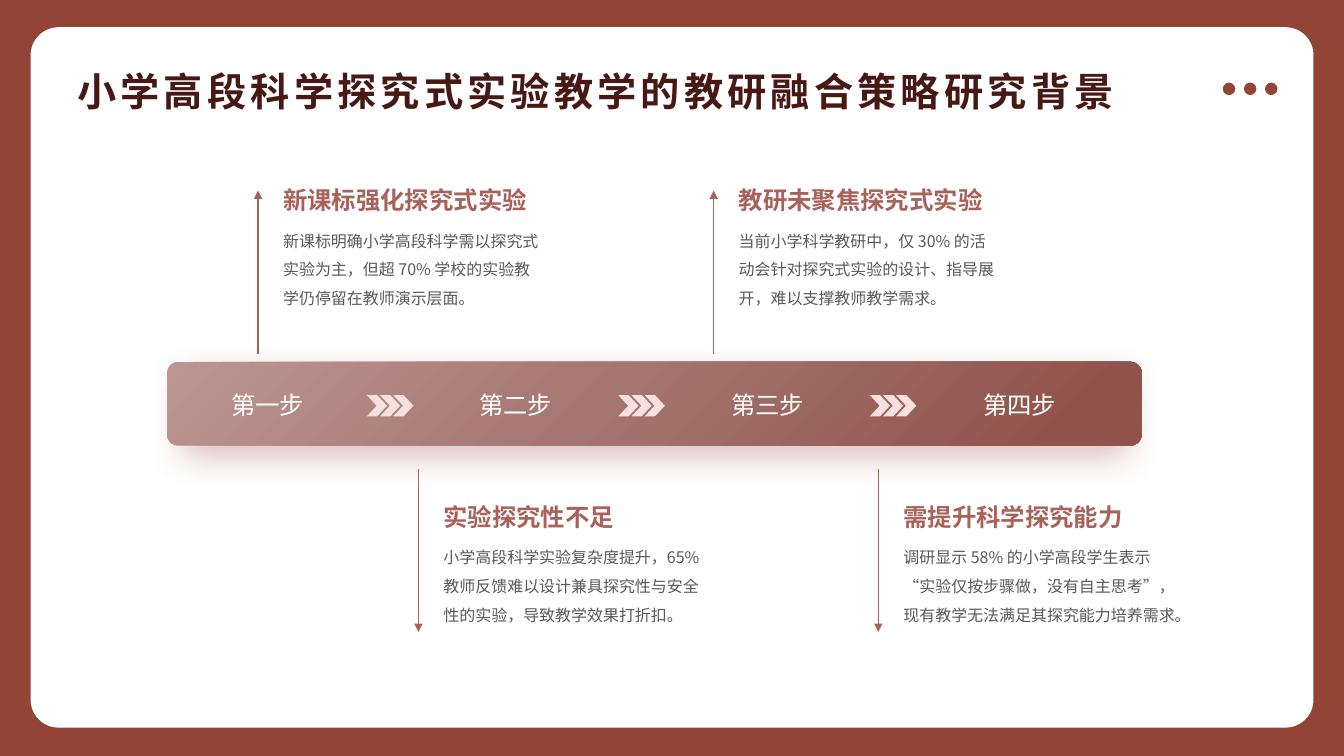
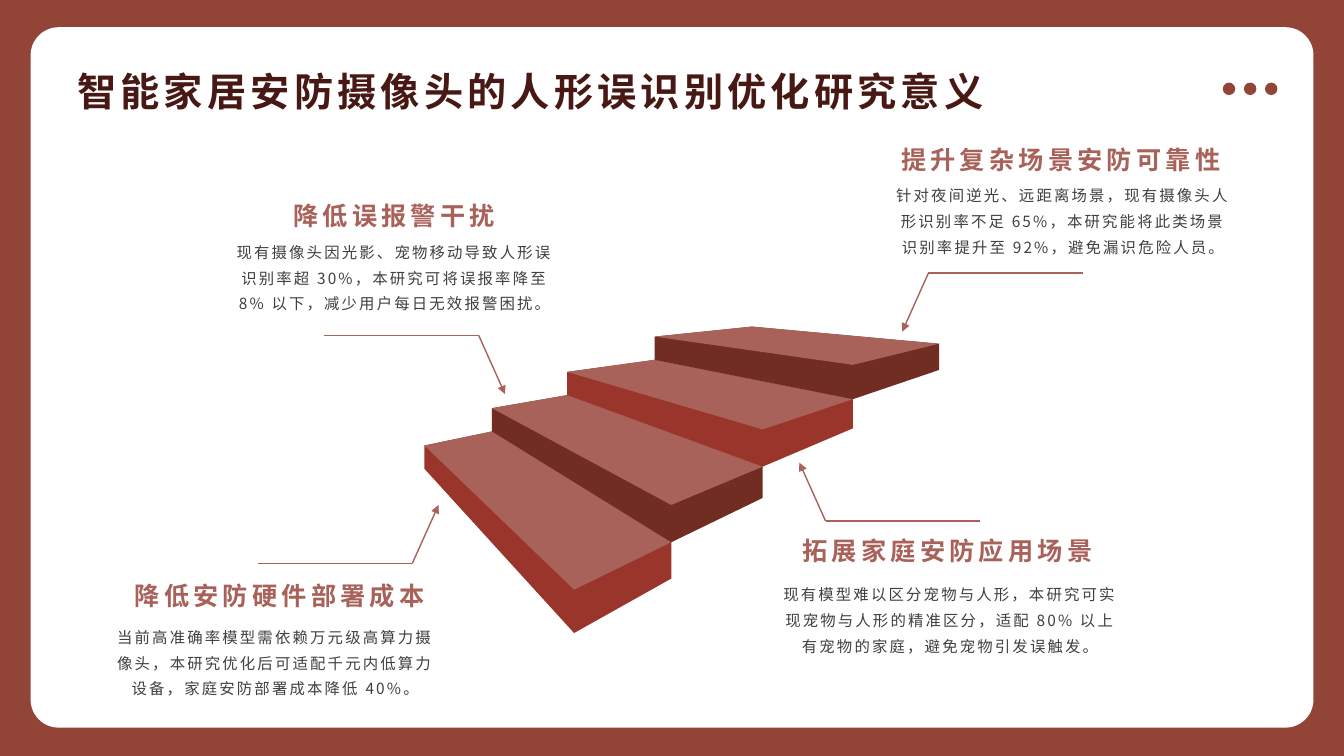
from lxml import etree
from pptx import Presentation
from pptx import util as u
from pptx.dml.color import RGBColor
from pptx.enum import shapes, text
from pptx.oxml.ns import qn

FONT = "Noto Sans CJK SC"
BRICK = RGBColor(0x92, 0x44, 0x37)
WHITE = RGBColor(0xFF, 0xFF, 0xFF)
MAROON = RGBColor(0x48, 0x19, 0x14)
ROSE = RGBColor(0xA8, 0x62, 0x5A)
BLUSH = RGBColor(0xF6, 0xE1, 0xDE)
BAR_LIGHT = RGBColor(0xBB, 0x96, 0x92)
BAR_DARK = RGBColor(0x90, 0x53, 0x4C)
RISER_RED = RGBColor(0x9A, 0x35, 0x2B)
RISER_DARK = RGBColor(0x71, 0x2D, 0x21)
GREY = RGBColor(0x59, 0x59, 0x59)
DARK_GREY = RGBColor(0x40, 0x40, 0x40)
CENTER, LEFT = text.PP_ALIGN.CENTER, text.PP_ALIGN.LEFT
TOP, MIDDLE = text.MSO_ANCHOR.TOP, text.MSO_ANCHOR.MIDDLE

prs = Presentation()
prs.slide_width, prs.slide_height = u.Inches(13.33), u.Inches(7.5)


def grid(*lengths):
    """Turn alternating columns and rows (100 of each per slide) into EMU."""
    sides = (prs.slide_width, prs.slide_height)
    return [round(n * sides[i % 2] / 100) for i, n in enumerate(lengths)]


def write(sp, words, size, color, bold=False, align=LEFT, anchor=TOP,
          tracking=0, line_spacing=1.0):
    tf = sp.text_frame
    tf.text = words
    tf.word_wrap = True
    tf.vertical_anchor = anchor
    p = tf.paragraphs[0]
    p.alignment, p.line_spacing = align, line_spacing
    r = p.runs[0]
    r.font.size, r.font.bold = u.Pt(size), bold
    r.font.color.rgb = color
    r.font.name = FONT
    rPr = r.font.element if hasattr(r.font, "element") else r._r.get_or_add_rPr()
    rPr.set("spc", str(int(tracking * 100)))
    etree.SubElement(rPr, qn("a:ea"), typeface=FONT)


# Shared layout: brick background, white panel, three dots, title place
layout = prs.slide_layouts[5]
layout.background.fill.solid()
layout.background.fill.fore_color.rgb = BRICK
for ph in list(layout.placeholders):
    if ph.placeholder_format.type != shapes.PP_PLACEHOLDER.TITLE:
        ph.element.getparent().remove(ph.element)
title = layout.placeholders[0]
title.left, title.top, title.width, title.height = grid(5, 6.85, 90, 10.25)

steps, stairs = [prs.slides.add_slide(layout) for _ in range(2)]
decor = [(shapes.MSO_SHAPE.ROUNDED_RECTANGLE, (2.28, 3.6, 95.45, 92.65), WHITE)]
decor += [(shapes.MSO_SHAPE.OVAL, (90.98 + 1.57 * i, 10.93, 0.93, 1.65), BRICK)
          for i in range(3)]
for i, (kind, place, color) in enumerate(decor):
    sp = steps.shapes.add_shape(kind, *grid(*place))
    sp.shadow.inherit = False
    sp.fill.solid()
    sp.fill.fore_color.rgb = color
    sp.line.fill.background()
    if kind == shapes.MSO_SHAPE.ROUNDED_RECTANGLE:
        sp.adjustments[0] = 0.04
    layout.shapes.element.insert(2 + i, sp.element)

# Slide 1: gradient bar with four steps and chevrons between them
bar = steps.shapes.add_shape(shapes.MSO_SHAPE.ROUNDED_RECTANGLE,
                             *grid(12.43, 47.87, 72.5, 11.05))
bar.adjustments[0] = 0.13
bar.line.fill.background()
bar.fill.gradient()
bar.fill.gradient_angle = 315
for stop, color, position in zip(bar.fill.gradient_stops,
                                 (BAR_LIGHT, BAR_DARK), (0, 0.92)):
    stop.color.rgb, stop.position = color, position
bar.shadow.inherit = False
shadow = etree.SubElement(
    bar.element.spPr.find(qn("a:effectLst")), qn("a:outerShdw"),
    blurRad=str(u.Pt(24)), dist=str(u.Pt(8.7)), dir="5400000",
    sx="97000", sy="97000", algn="t", rotWithShape="0")
tint = etree.SubElement(shadow, qn("a:srgbClr"), val=str(ROSE))
etree.SubElement(tint, qn("a:alpha"), val="40000")

for group in range(3):
    for i in range(3):
        chevron = steps.shapes.add_shape(
            shapes.MSO_SHAPE.CHEVRON,
            *grid(27.3 + 18.71 * group + 0.98 * i, 52.27, 1.5, 2.8))
        chevron.adjustments[0] = 0.49
        chevron.shadow.inherit = False
        chevron.fill.solid()
        chevron.fill.fore_color.rgb = BLUSH
        chevron.line.fill.background()

for left, name in zip((13.28, 31.73, 50.48, 69.23),
                      ("第一步", "第二步", "第三步", "第四步")):
    sp = steps.shapes.add_textbox(*grid(left, 50.93, 13.28, 5.33))
    write(sp, name, 17.4, WHITE, align=CENTER)

# Slide 2: each step shares its back edge with the foot of the next
left_x = (31.58, 36.6, 42.2, 48.7, 55.95)
right_x = (42.72, 49.95, 56.75, 63.46, 69.88)
left_top = (58.93, 54, 49.2, 44.53)
left_foot = (62, 57.07, 52.27, 47.6, 43.2)
near_top = (78, 66.8, 56.8, 48.27)
near_foot = (83.73, 71.73, 61.73, 52.8, 45.47)
far_foot = (76.53, 65.87, 56.67, 48.93)
for i in range(4):
    corner = (left_x[i], left_top[i])
    back = (left_x[i + 1], left_foot[i + 1])
    far = (right_x[i + 1], near_foot[i + 1])
    riser = [corner, (left_x[i], left_foot[i]), (right_x[i], near_foot[i]),
             (right_x[i + 1], far_foot[i]), far, back]
    tread = [corner, back, far, (right_x[i], near_top[i])]
    for outline, color in ((riser, (RISER_RED, RISER_DARK)[i % 2]), (tread, ROSE)):
        points = [grid(*point) for point in outline]
        builder = stairs.shapes.build_freeform(*points[0], scale=1.0)
        builder.add_line_segments(points[1:], close=True)
        sp = builder.convert_to_shape()
        sp.shadow.inherit = False
        sp.fill.solid()
        sp.fill.fore_color.rgb = color
        sp.line.fill.background()

# Notes: arrow column, points up, body width, heading, body
step_notes = [
    (19.2, True, 21, "新课标强化探究式实验",
     "新课标明确小学高段科学需以探究式实验为主，但超 70% 学校的实验教学仍停留在教师演示层面。"),
    (31.13, False, 21, "实验探究性不足",
     "小学高段科学实验复杂度提升，65% 教师反馈难以设计兼具探究性与安全性的实验，导致教学效果打折扣。"),
    (53.1, True, 21, "教研未聚焦探究式实验",
     "当前小学科学教研中，仅 30% 的活动会针对探究式实验的设计、指导展开，难以支撑教师教学需求。"),
    (65.35, False, 21.9, "需提升科学探究能力",
     "调研显示 58% 的小学高段学生表示 “实验仅按步骤做，没有自主思考”，现有教学无法满足其探究能力培养需求。"),
]
lines = []  # slide, ends, width, has arrowhead
for x, up, width, heading, body in step_notes:
    start, tip, top = (46.8, 25.2, 23.87) if up else (62, 83.6, 65.73)
    lines.append((steps, (x, start, x, tip), 1.09, True))
    sp = steps.shapes.add_textbox(*grid(x + 1.13, top, 23, 5.33))
    write(sp, heading, 17.4, ROSE, bold=True)
    sp = steps.shapes.add_textbox(*grid(x + 1.13, top + 4.8, width, 13.07))
    write(sp, body, 11.4, GREY, line_spacing=1.5)

# Callouts: elbow, direction, heading centre and top, body place, texts
stair_notes = [
    ((35.63, 44.4), (1, 1), (29.33, 26), (16.5, 31.47, 25.73), "降低误报警干扰",
     "现有摄像头因光影、宠物移动导致人形误识别率超 30%，本研究可将误报率降至 8% 以下，减少用户每日无效报警困扰。"),
    ((69.08, 36.13), (-1, 1), (78.93, 18.53), (65.78, 24, 26.63), "提升复杂场景安防可靠性",
     "针对夜间逆光、远距离场景，现有摄像头人形识别率不足 65%，本研究能将此类场景识别率提升至 92%，避免漏识危险人员。"),
    ((30.68, 74.53), (1, -1), (20.81, 76.27), (7.95, 82.4, 25.05), "降低安防硬件部署成本",
     "当前高准确率模型需依赖万元级高算力摄像头，本研究优化后可适配千元内低算力设备，家庭安防部署成本降低 40%。"),
    ((61.43, 68.93), (-1, -1), (70.5, 70.27), (57.53, 76.8, 26.33), "拓展家庭安防应用场景",
     "现有模型难以区分宠物与人形，本研究可实现宠物与人形的精准区分，适配 80% 以上有宠物的家庭，避免宠物引发误触发。"),
]
for (x, y), (dx, dy), (center, top), place, heading, body in stair_notes:
    lines.append((stairs, (x - 11.5 * dx, y, x, y), 1, False))
    lines.append((stairs, (x, y, x + 1.95 * dx, y + 7.73 * dy), 1, True))
    sp = stairs.shapes.add_textbox(*grid(center - 15, top, 30, 5.07))
    write(sp, heading, 18, ROSE, True, CENTER, MIDDLE, tracking=3)
    sp = stairs.shapes.add_textbox(*grid(*place, 9.6))
    write(sp, body, 11, DARK_GREY, False, CENTER, MIDDLE, 1.5, 1.4)

for slide, ends, width, arrowhead in lines:
    line = slide.shapes.add_connector(shapes.MSO_CONNECTOR.STRAIGHT, *grid(*ends))
    line.line.color.rgb = ROSE
    line.line.width = u.Pt(width)
    spPr = line.element.spPr
    if arrowhead:
        etree.SubElement(spPr.find(qn("a:ln")), qn("a:tailEnd"), type="triangle")
    etree.SubElement(spPr, qn("a:effectLst"))

for slide, words in ((steps, "小学高段科学探究式实验教学的教研融合策略研究背景"),
                     (stairs, "智能家居安防摄像头的人形误识别优化研究意义")):
    write(slide.shapes.title, words, 28, MAROON, True, anchor=MIDDLE, tracking=3)

prs.save("out.pptx")
